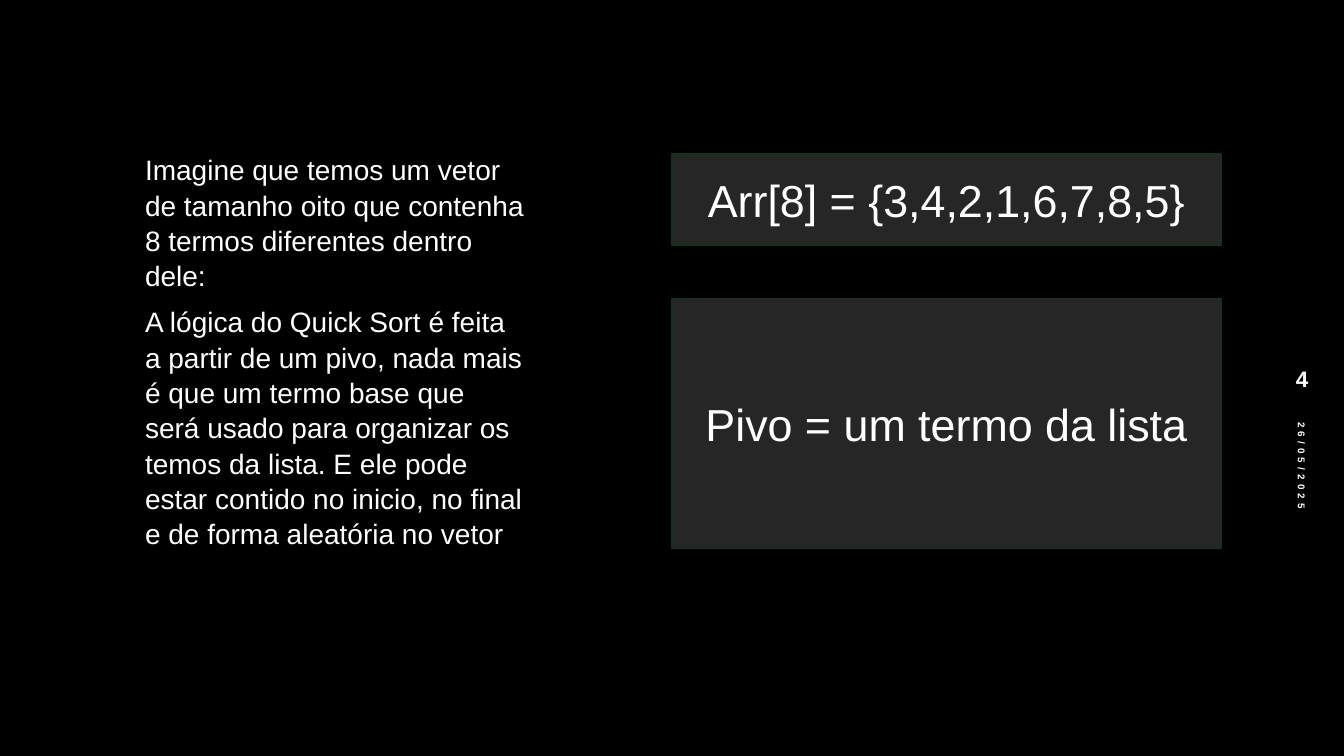
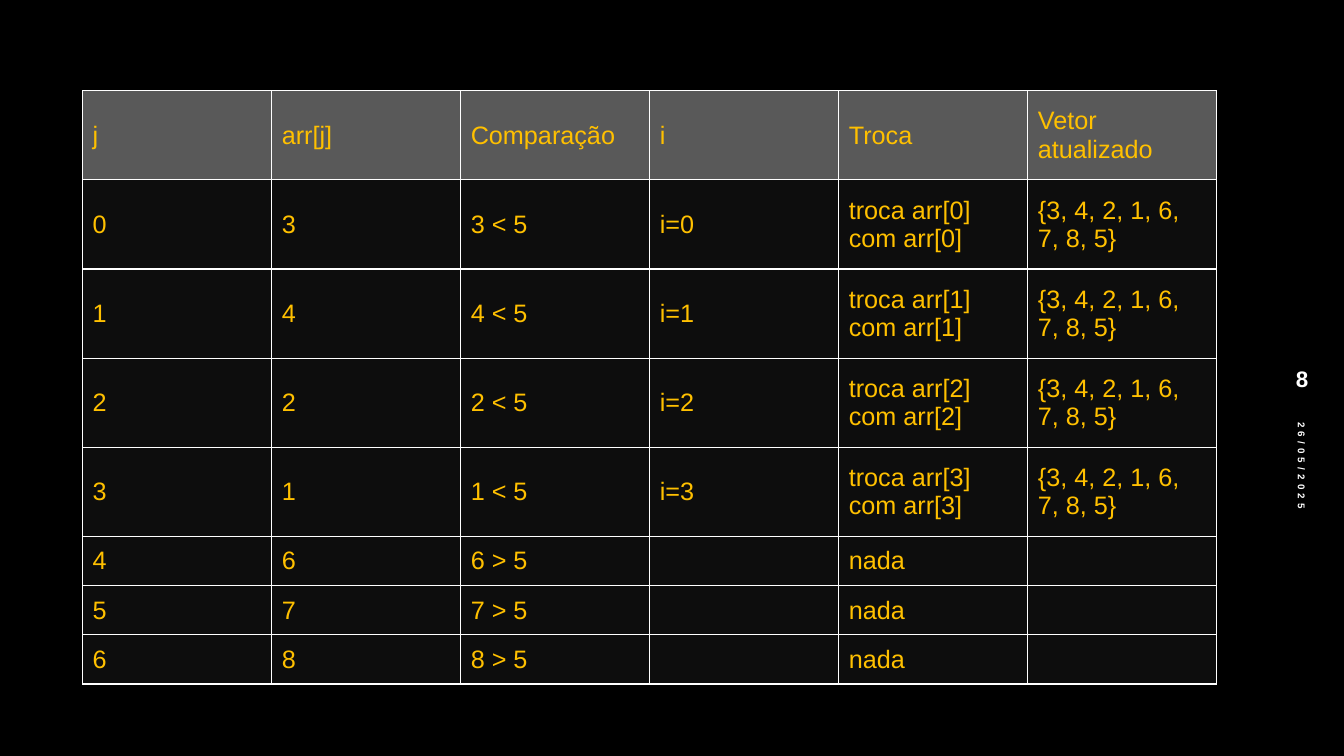
from dataclasses import dataclass

from lxml import etree
from pptx import Presentation
from pptx.dml.color import RGBColor
from pptx.enum.shapes import MSO_SHAPE
from pptx.enum.text import MSO_ANCHOR, PP_ALIGN
from pptx.oxml.ns import qn
from pptx.util import Inches, Pt

RECTANGLE = MSO_SHAPE.RECTANGLE
TOP, MIDDLE = MSO_ANCHOR.TOP, MSO_ANCHOR.MIDDLE
LEFT, CENTER = PP_ALIGN.LEFT, PP_ALIGN.CENTER
SLIDE_WIDTH, SLIDE_HEIGHT = Inches(13.33), Inches(7.5)
BLANK_LAYOUT = 6


@dataclass(frozen=True)
class Theme:
    """Colours, font and type sizes of the presentation."""

    font: str = "Arial"
    background: str = "000000"
    text: str = "FFFFFF"
    panel: str = "262626"
    panel_line: str = "143221"
    table_text: str = "FFC000"
    header_fill: str = "595959"
    cell_fill: str = "0D0D0D"
    border: str = "FFFFFF"
    line_width: int = 1
    date_size: int = 7
    number_size: int = 16
    table_size: int = 18
    body_size: int = 20
    panel_size: int = 32
    date_tracking: int = 3
    body_spacing: float = 1.05


THEME = Theme()
DATE = "26/05/2025"
DATE_AREA = (85.9, 71.33, 21.9, 5.33)
NUMBER_AREA = (94.3, 46.93, 5.18, 6.27)

BODY_LEFT, BODY_WIDTH = 10.05, 29.75
PANEL_LEFT, PANEL_WIDTH = 50, 40.88
LOWER_TOP = 39.47
BODY_TEXTS = [
    ("Imagine que temos um vetor de tamanho oito que contenha 8 termos "
     "diferentes dentro dele:", 19.33, 14.8),
    ("A lógica do Quick Sort é feita a partir de um pivo, nada mais é que um "
     "termo base que será usado para organizar os temos da lista. E ele pode "
     "estar contido no inicio, no final e de forma aleatória no vetor",
     LOWER_TOP, 32.8),
]
PANELS = [
    ("Arr[8] = {3,4,2,1,6,7,8,5}", 20.4, 12),
    ("Pivo = um termo da lista", LOWER_TOP, 33.07),
]

TABLE_LEFT, TABLE_TOP, TABLE_WIDTH = 6.15, 12, 84.4
TALL_ROW, SHORT_ROW = 11.8, 6.5
HEADERS = ["j", "arr[j]", "Comparação", "i", "Troca", "Vetor atualizado"]
VECTOR = [3, 4, 2, 1, 6, 7, 8, 5]
PIVOT = VECTOR[-1]


def across(share):
    """Convert a percentage of the slide width to a length."""
    return round(SLIDE_WIDTH * share / 100)


def down(share):
    """Convert a percentage of the slide height to a length."""
    return round(SLIDE_HEIGHT * share / 100)


def place(left, top, width, height):
    """Convert an area in percentages to slide lengths."""
    return across(left), down(top), across(width), down(height)


def apply_format(target, values):
    """Set each named attribute on the target."""
    for name, value in values.items():
        setattr(target, name, value)


def fill_solid(fill, color):
    """Give a fill one solid colour."""
    fill.solid()
    fill.fore_color.rgb = RGBColor.from_string(color)


def write_text(frame, text, size, color=THEME.text, bold=False, tracking=0,
               anchor=MIDDLE, **paragraph_format):
    """Write one formatted paragraph into a text frame."""
    apply_format(frame, {"word_wrap": True, "vertical_anchor": anchor})
    paragraph = frame.paragraphs[0]
    apply_format(paragraph, paragraph_format)
    run = paragraph.add_run()
    run.text = text
    apply_format(run.font, {"name": THEME.font, "size": Pt(size), "bold": bold})
    run.font.color.rgb = RGBColor.from_string(color)
    if tracking:
        run._r.get_or_add_rPr().set("spc", str(tracking * 100))


def add_text(slide, area, text, size, rotation=0, **text_format):
    """Add a text box."""
    shape = slide.shapes.add_textbox(*place(*area))
    shape.rotation = rotation
    write_text(shape.text_frame, text, size, **text_format)


def add_panel(slide, area, text):
    """Add a filled rectangle with a centred statement."""
    shape = slide.shapes.add_shape(RECTANGLE, *place(*area))
    shape.shadow.inherit = False
    fill_solid(shape.fill, THEME.panel)
    fill_solid(shape.line.fill, THEME.panel_line)
    shape.line.width = Pt(THEME.line_width)
    write_text(shape.text_frame, text, THEME.panel_size, alignment=CENTER)


def set_borders(cell):
    """Draw the four borders of a table cell."""
    properties = cell._tc.get_or_add_tcPr()
    for side in ("a:lnL", "a:lnR", "a:lnT", "a:lnB"):
        line = etree.SubElement(properties, qn(side), w=str(Pt(THEME.line_width)))
        fill = etree.SubElement(line, qn("a:solidFill"))
        etree.SubElement(fill, qn("a:srgbClr"), val=THEME.border)


def format_cell(cell, text, fill_color):
    """Fill, outline and label a table cell."""
    set_borders(cell)
    fill_solid(cell.fill, fill_color)
    cell.vertical_anchor = MIDDLE
    if text:
        write_text(cell.text_frame, text, THEME.table_size, THEME.table_text,
                   alignment=LEFT)


def comparison_rows():
    """List each comparison of the vector with its pivot."""
    vector_text = "{" + ", ".join(map(str, VECTOR)) + "}"
    rows = []
    for index, value in enumerate(VECTOR[:-1]):
        if value < PIVOT:
            outcome = [f"{value} < {PIVOT}", f"i={index}",
                       f"troca arr[{index}] com arr[{index}]", vector_text]
        else:
            outcome = [f"{value} > {PIVOT}", "", "nada", ""]
        rows.append([str(index), str(value), *outcome])
    return rows


def add_grid(slide, rows):
    """Add a table with a header row and equal columns."""
    heights = [TALL_ROW if row[-1] else SHORT_ROW for row in rows]
    area = place(TABLE_LEFT, TABLE_TOP, TABLE_WIDTH, sum(heights))
    table = slide.shapes.add_table(len(rows), len(HEADERS), *area).table
    apply_format(table, {"first_row": False, "horz_banding": False})
    for column in table.columns:
        column.width = across(TABLE_WIDTH / len(HEADERS))
    for row_index, (row, height) in enumerate(zip(rows, heights)):
        table.rows[row_index].height = down(height)
        fill_color = THEME.cell_fill if row_index else THEME.header_fill
        for column_index, text in enumerate(row):
            format_cell(table.cell(row_index, column_index), text, fill_color)


def add_slide(presentation, number):
    """Add a slide with its date and page number."""
    slide = presentation.slides.add_slide(presentation.slide_layouts[BLANK_LAYOUT])
    add_text(slide, DATE_AREA, DATE, THEME.date_size, rotation=90, bold=True,
             tracking=THEME.date_tracking)
    add_text(slide, NUMBER_AREA, str(number), THEME.number_size, bold=True,
             alignment=CENTER)
    return slide


def build_logic_slide(presentation):
    """Build the slide that explains the vector and the pivot."""
    slide = add_slide(presentation, 4)
    for text, top, height in BODY_TEXTS:
        add_text(slide, (BODY_LEFT, top, BODY_WIDTH, height), text,
                 THEME.body_size, anchor=TOP, line_spacing=THEME.body_spacing)
    for text, top, height in PANELS:
        add_panel(slide, (PANEL_LEFT, top, PANEL_WIDTH, height), text)


def build_comparison_slide(presentation):
    """Build the slide with the table of comparisons."""
    slide = add_slide(presentation, 8)
    add_grid(slide, [HEADERS, *comparison_rows()])


def main():
    """Build and save the presentation."""
    presentation = Presentation()
    apply_format(presentation, {"slide_width": SLIDE_WIDTH,
                                "slide_height": SLIDE_HEIGHT})
    fill_solid(presentation.slide_master.background.fill, THEME.background)
    build_logic_slide(presentation)
    build_comparison_slide(presentation)
    presentation.save("out.pptx")


if __name__ == "__main__":
    main()
